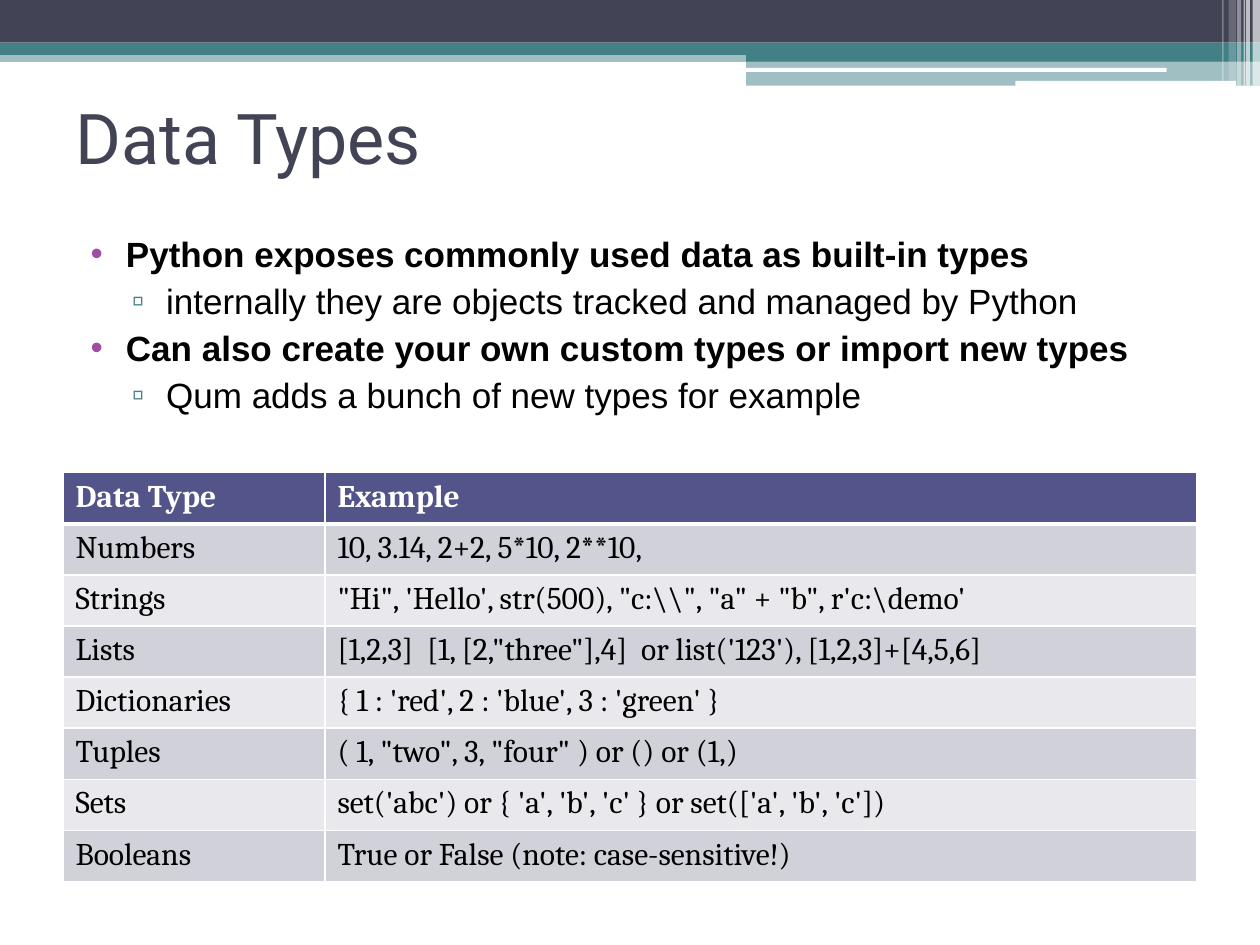
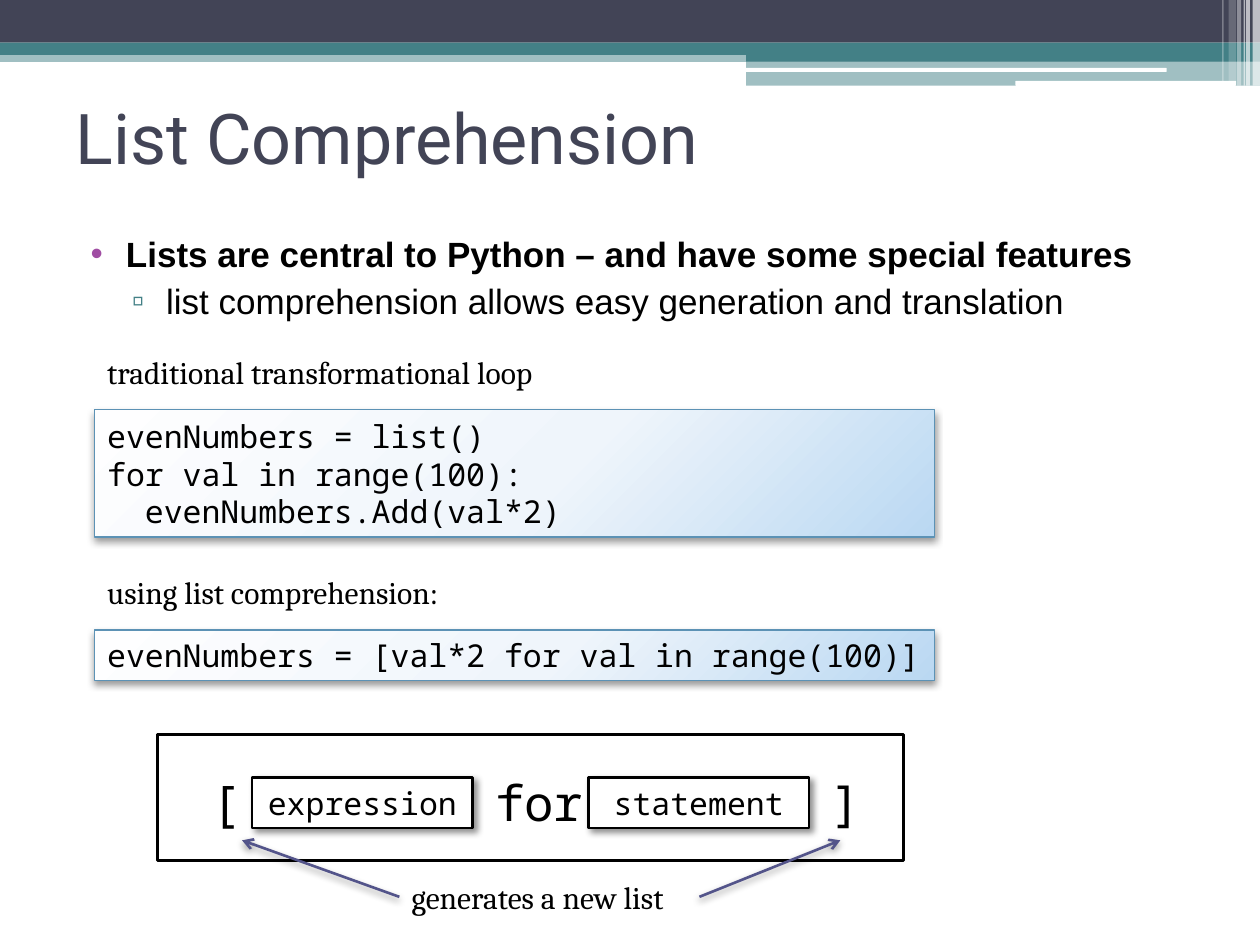
"""Build two slides on Python data types and list comprehension."""
from lxml.etree import SubElement
from pptx import Presentation
from pptx.dml.color import RGBColor
from pptx.enum.shapes import MSO_CONNECTOR, MSO_SHAPE
from pptx.enum.text import MSO_ANCHOR, PP_ALIGN
from pptx.oxml import parse_xml
from pptx.oxml.ns import nsdecls, qn
from pptx.util import Cm, Pt

HUES = {
    "dark": "424456", "teal": "438086", "white": "FFFFFF", "black": "000000",
    "plum": "A04DA3", "head": "53548A", "odd": "D1D1DA", "even": "E9E9ED",
    "edge": "5C92B5", "pale": "FEFEFF", "mist": "EFF5FB", "sky": "BAD8F2",
}
SANS, SERIF, MONO, TITLE = "Arial", "Cambria", "Noto Sans Mono", "Roboto"
RECT, ROUND = MSO_SHAPE.RECTANGLE, MSO_SHAPE.ROUNDED_RECTANGLE
SOFT, HARD = (40, 4.1, 2, 90), (43, 4, 3, 45)

BANDS = [
    (RECT, 0, 1.02, 25.4, 0.23, "teal", 50),
    (RECT, 0, 0, 25.4, 0.86, "dark", 100),
    (RECT, 0, 0.86, 25.4, 0.25, "teal", 100),
    (RECT, 15.04, 0.99, 10.36, 0.25, "teal", 100),
    (RECT, 15.04, 1.22, 10.36, 0.51, "teal", 50),
    (ROUND, 15.01, 1.37, 8.51, 0.08, "white", 100),
    (ROUND, 20.47, 1.63, 4.45, 0.1, "white", 100),
    (RECT, 25.25, 0, 0.15, 1.73, "white", 65),
    (RECT, 25.12, 0, 0.08, 1.73, "white", 65),
    (RECT, 25.07, 0, 0.03, 1.73, "white", 60),
    (RECT, 24.94, 0, 0.08, 1.73, "white", 40),
    (RECT, 24.77, 0, 0.15, 1.63, "white", 20),
    (RECT, 24.64, 0, 0.03, 1.63, "white", 30),
]
MARKS = [("•", "plum", 1.02, -0.71), ("▫", "teal", 1.83, -0.69)]
PAGES = [
    ("Data Types", 4.24, [
        (0, "Python exposes commonly used data as built-in types"),
        (1, "internally they are objects tracked and managed by Python"),
        (0, "Can also create your own custom types or import new types"),
        (1, "Qum adds a bunch of new types for example"),
    ]),
    ("List Comprehension", 2.74, [
        (0, "Lists are central to Python – and have some special features"),
        (1, "list comprehension allows easy generation and translation"),
    ]),
]
ROWS = [
    ("Data Type", "Example"),
    ("Numbers", "10, 3.14, 2+2, 5*10, 2**10,"),
    ("Strings", r""""Hi", 'Hello', str(500), "c:\\", "a" + "b", r'c:\demo'"""),
    ("Lists", """[1,2,3]  [1, [2,"three"],4]  or list('123'), [1,2,3]+[4,5,6]"""),
    ("Dictionaries", "{ 1 : 'red', 2 : 'blue', 3 : 'green' }"),
    ("Tuples", '( 1, "two", 3, "four" ) or () or (1,)'),
    ("Sets", "set('abc') or { 'a', 'b', 'c' } or set(['a', 'b', 'c'])"),
    ("Booleans", "True or False (note: case-sensitive!)"),
]


def draw(slide, kind, at, fill=None, line=None, width=1.5):
    """Add a preset shape, or a wrapped text box when kind is None."""
    spot = [Cm(side) for side in at]
    if kind is None:
        shape = slide.shapes.add_textbox(*spot)
        shape.text_frame.word_wrap = True
        return shape
    shape = slide.shapes.add_shape(kind, *spot)
    shape.shadow.inherit = False
    shape.fill.solid()
    shape.fill.fore_color.rgb = RGBColor.from_string(HUES[fill])
    if line:
        shape.line.color.rgb = RGBColor.from_string(HUES[line])
        shape.line.width = Pt(width)
    else:
        shape.line.fill.background()
    return shape


def write(frame, text, size, font, hue="black", bold=False, align=PP_ALIGN.LEFT):
    """Fill a text frame with evenly styled paragraphs."""
    frame.text = text
    for para in frame.paragraphs:
        para.alignment = align
        for run in para.runs:
            run.font.size = Pt(size)
            run.font.name = font
            run.font.bold = bold
            run.font.color.rgb = RGBColor.from_string(HUES[hue])


deck = Presentation()
deck.slide_width, deck.slide_height = Cm(25.4), Cm(19.05)
slides = []

for title, tall, points in PAGES:
    slide = deck.slides.add_slide(deck.slide_layouts[6])
    slides.append(slide)
    for kind, left, top, width, height, fill, alpha in BANDS:
        band = draw(slide, kind, (left, top, width, height), fill)
        if alpha < 100:
            tint = band._element.spPr.find(qn("a:solidFill"))[0]
            SubElement(tint, qn("a:alpha"), val=str(alpha * 1000))

    frame = draw(slide, None, (1.27, 1.27, 22.86, 2.97)).text_frame
    frame.vertical_anchor = MSO_ANCHOR.MIDDLE
    write(frame, title, 40, TITLE, "dark")

    frame = draw(slide, None, (1.27, 4.45, 22.86, tall)).text_frame
    frame.margin_top = Cm(0.23)
    write(frame, "\n".join(text for level, text in points), 20, SANS)
    for spot, (para, (level, text)) in enumerate(zip(frame.paragraphs, points)):
        mark, hue, left, hang = MARKS[level]
        para.level = level
        para.space_before = Pt(3 if spot else 0)
        para.runs[0].font.bold = level == 0
        props = para._p.get_or_add_pPr()
        props.set("marL", str(Cm(left)))
        props.set("indent", str(Cm(hang)))
        tint = SubElement(props, qn("a:buClr"))
        SubElement(tint, qn("a:srgbClr"), val=HUES[hue])
        SubElement(props, qn("a:buFont"), typeface=SANS)
        SubElement(props, qn("a:buChar"), char=mark)

types, comp = slides

grid = types.shapes.add_table(
    len(ROWS), 2, Cm(1.27), Cm(9.53), Cm(22.86), Cm(1.03 * len(ROWS))).table
grid.columns[0].width, grid.columns[1].width = Cm(5.28), Cm(17.58)
for row, texts in enumerate(ROWS):
    fill = "head" if row == 0 else "odd" if row % 2 else "even"
    for col, text in enumerate(texts):
        cell = grid.cell(row, col)
        write(cell.text_frame, text, 18, SERIF,
              "black" if row else "white", row == 0)
        props = cell._tc.get_or_add_tcPr()
        for side in "LRTB":
            thick = 3 if (row, side) in ((0, "B"), (1, "T")) else 1
            edge = SubElement(props, qn("a:ln" + side), w=str(Pt(thick)))
            tint = SubElement(edge, qn("a:solidFill"))
            SubElement(tint, qn("a:srgbClr"), val=HUES["white"])
        cell.fill.solid()
        cell.fill.fore_color.rgb = RGBColor.from_string(HUES[fill])

shaded = []
CODES = [
    (8.26, 2.57, "evenNumbers = list()\nfor val in range(100):\n  evenNumbers.Add(val*2)"),
    (12.7, 1.02, "evenNumbers = [val*2 for val in range(100)]"),
]
for top, height, text in CODES:
    code = draw(comp, RECT, (1.91, top, 16.93, height), "pale", "edge", 0.75)
    write(code.text_frame, text, 18, MONO)
    stops = "".join(
        f'<a:gs pos="{pos * 1000}"><a:srgbClr val="{HUES[hue]}"/></a:gs>'
        for pos, hue in ((0, "pale"), (55, "mist"), (100, "sky")))
    blend = parse_xml(
        f'<a:gradFill {nsdecls("a")}><a:gsLst>{stops}</a:gsLst><a:path path="circle">'
        '<a:fillToRect l="-40000" t="-90000" r="140000" b="190000"/>'
        '</a:path></a:gradFill>')
    props = code._element.spPr
    props.replace(props.find(qn("a:solidFill")), blend)
    shaded.append((code, SOFT))

draw(comp, RECT, (3.18, 14.81, 15.04, 2.54), "white", "black")
LABELS = [
    (1.91, 6.99, 9.96, 1.07, "traditional transformational loop", 18, SERIF),
    (1.91, 11.43, 9.96, 1.07, "using list comprehension:", 18, SERIF),
    (4.01, 15.44, 1.07, 1.45, "[", 28, MONO),
    (16.51, 15.44, 1.07, 1.45, "]", 28, MONO),
    (9.73, 15.44, 8.46, 1.45, "for", 28, MONO),
    (8.05, 17.58, 6.05, 1.02, "generates a new list", 18, SERIF),
]
for left, top, width, height, text, size, font in LABELS:
    label = draw(comp, None, (left, top, width, height))
    write(label.text_frame, text, size, font)

for left, text in ((5.08, "expression"), (11.86, "statement")):
    part = draw(comp, RECT, (left, 15.67, 4.45, 1.02), "white", "black")
    write(part.text_frame, text, 18, MONO, align=PP_ALIGN.CENTER)
    shaded.append((part, HARD))

for start, end in ((8.05, 4.88), (14.1, 16.94)):
    arrow = comp.shapes.add_connector(
        MSO_CONNECTOR.STRAIGHT, Cm(start), Cm(18.08), Cm(end), Cm(16.94))
    arrow.line.color.rgb = RGBColor.from_string(HUES["head"])
    arrow.line.width = Pt(1.5)
    SubElement(arrow._element.spPr.find(qn("a:ln")), qn("a:tailEnd"), type="arrow")
    shaded.append((arrow, SOFT))

for shape, (alpha, blur, dist, angle) in shaded:
    props = shape._element.spPr
    effect = props.find(qn("a:effectLst"))
    if effect is None:
        effect = SubElement(props, qn("a:effectLst"))
    cast = SubElement(effect, qn("a:outerShdw"), blurRad=str(Pt(blur)),
                      dist=str(Pt(dist)), dir=str(angle * 60000),
                      algn="tl", rotWithShape="0")
    tint = SubElement(cast, qn("a:srgbClr"), val=HUES["black"])
    SubElement(tint, qn("a:alpha"), val=str(alpha * 1000))

deck.save("out.pptx")
